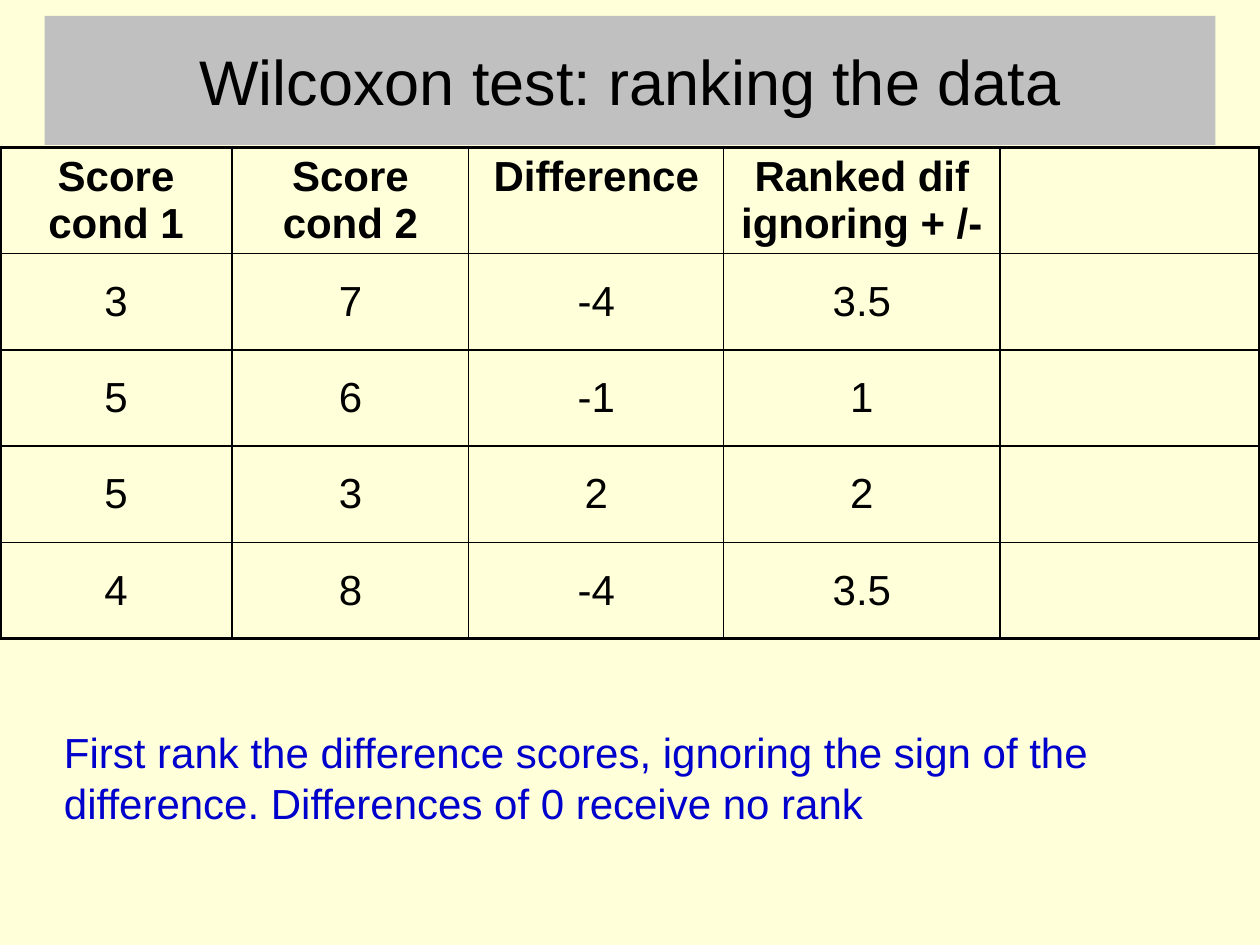
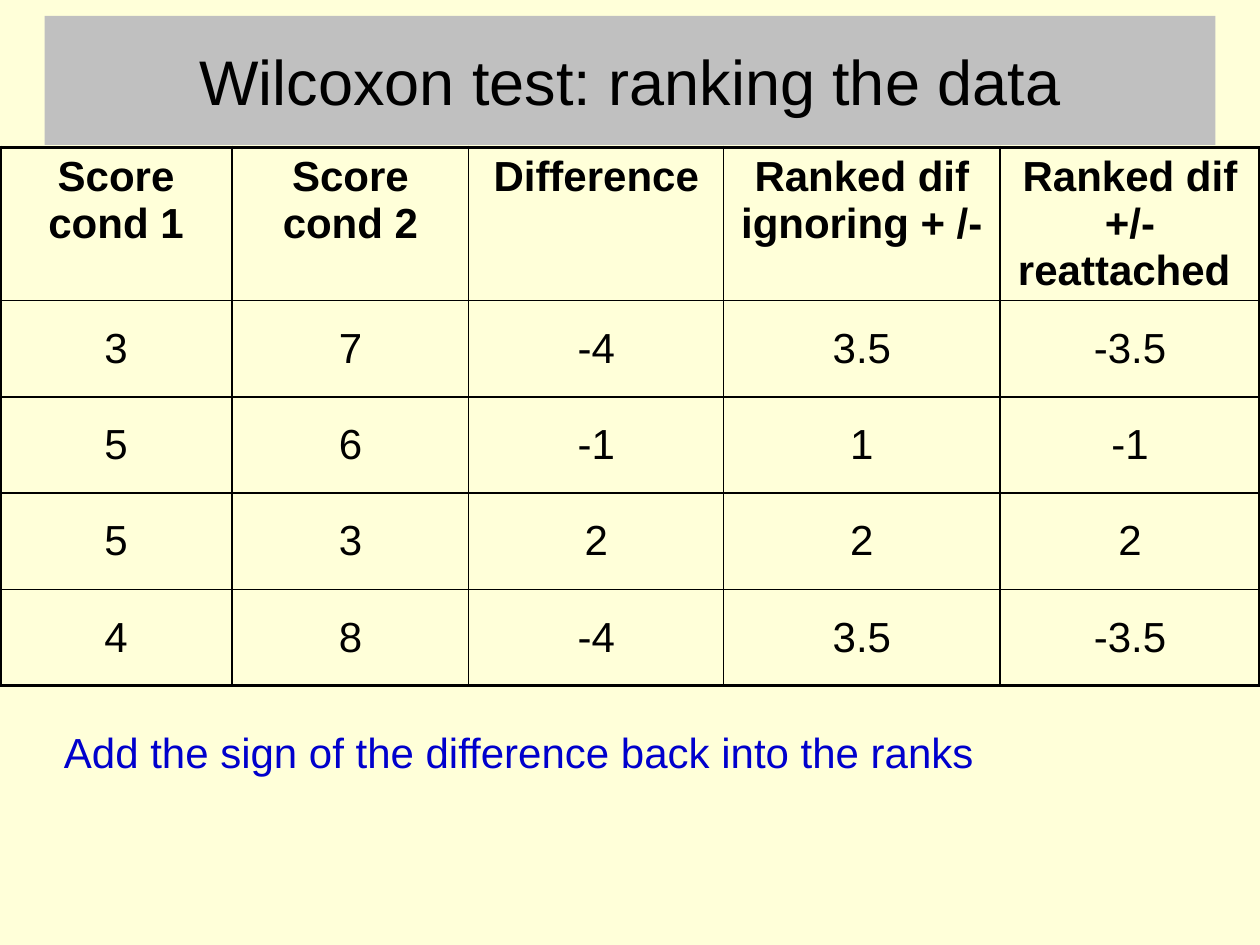
"""Build two slides that show how data are ranked for the Wilcoxon test."""
from dataclasses import dataclass

from lxml import etree
from pptx import Presentation
from pptx.dml.color import RGBColor
from pptx.enum.text import MSO_ANCHOR, MSO_AUTO_SIZE, PP_ALIGN
from pptx.oxml.ns import qn
from pptx.util import Cm, Length, Pt

CREAM = RGBColor(0xFF, 0xFF, 0xD9)
SILVER = RGBColor(0xC0, 0xC0, 0xC0)
BLACK = RGBColor(0x00, 0x00, 0x00)
BLUE = RGBColor(0x00, 0x00, 0xCC)

CENTER, LEFT = PP_ALIGN.CENTER, PP_ALIGN.LEFT
TOP, MIDDLE = MSO_ANCHOR.TOP, MSO_ANCHOR.MIDDLE
FIT_SHAPE, NO_FIT = MSO_AUTO_SIZE.SHAPE_TO_FIT_TEXT, MSO_AUTO_SIZE.NONE

FONT = "Arial"
TITLE = "Wilcoxon test: ranking the data"
TITLE_ONLY_LAYOUT = 5
THIN, THICK = Pt(1), Pt(2.25)
COLUMN_WIDTHS = (Cm(4.68), Cm(4.77), Cm(5.14), Cm(5.57), Cm(5.24))
SCORE_ROW_HEIGHT = Cm(1.94)

HEADINGS = ("Score cond 1", "Score cond 2", "Difference", "Ranked dif ignoring + /-")
SCORES = (
    ("3", "7", "-4", "3.5"),
    ("5", "6", "-1", "1"),
    ("5", "3", "2", "2"),
    ("4", "8", "-4", "3.5"),
)


@dataclass(frozen=True)
class RankingStep:
    """One slide: its last table column, heading height and explanation."""

    last_column: tuple[str, ...]
    heading_height: Length
    explanation: str
    explanation_height: Length


STEPS = (
    RankingStep(
        ("",) * 5,
        Cm(2.14),
        "First rank the difference scores, ignoring the sign of the difference. "
        "Differences of 0 receive no rank",
        Cm(2.29),
    ),
    RankingStep(
        ("Ranked dif +/- reattached ", "-3.5", "-1", "2", "-3.5"),
        Cm(3.09),
        "Add the sign of the difference back into the ranks",
        Cm(1.27),
    ),
)


def write(frame, text: str, size: int, color: RGBColor, align=CENTER, bold: bool = False) -> None:
    """Put text in a frame and format its runs."""
    frame.text = text
    for para in frame.paragraphs:
        para.alignment = align
        for span in para.runs:
            span.font.name = FONT
            span.font.size = Pt(size)
            span.font.bold = bold
            span.font.color.rgb = color


def add_title(page) -> None:
    """Place the title on its silver band."""
    title = page.shapes.title
    title.left, title.top, title.width, title.height = Cm(0.9), Cm(0.32), Cm(23.6), Cm(2.6)
    title.fill.solid()
    title.fill.fore_color.rgb = SILVER
    write(title.text_frame, TITLE, 36, BLACK)
    title.text_frame.auto_size = NO_FIT
    title.text_frame.vertical_anchor = MIDDLE


def draw_border(cell, side: str, width: Length) -> None:
    """Draw one black edge of a table cell."""
    properties = cell._tc.get_or_add_tcPr()
    line = etree.SubElement(properties, qn(f"a:ln{side}"), w=str(width))
    fill = etree.SubElement(line, qn("a:solidFill"))
    etree.SubElement(fill, qn("a:srgbClr"), val=str(BLACK))


def add_score_table(page, step: RankingStep) -> None:
    """Add the table of scores with thick outer and thin inner lines."""
    rows = [row + (last,) for row, last in zip((HEADINGS,) + SCORES, step.last_column)]
    heights = [step.heading_height] + [SCORE_ROW_HEIGHT] * len(SCORES)
    bottom, right = len(rows) - 1, len(COLUMN_WIDTHS) - 1
    table = page.shapes.add_table(
        len(rows), len(COLUMN_WIDTHS), Cm(0), Cm(2.97), sum(COLUMN_WIDTHS), sum(heights)
    ).table
    table.first_row = table.horz_banding = False
    for column, width in zip(table.columns, COLUMN_WIDTHS):
        column.width = width
    for y, (row, height) in enumerate(zip(rows, heights)):
        table.rows[y].height = height
        for x, text in enumerate(row):
            cell = table.cell(y, x)
            outer_sides = {"L": x == 0, "R": x == right, "T": y == 0, "B": y == bottom}
            for side, is_outer in outer_sides.items():
                draw_border(cell, side, THICK if is_outer else THIN)
            cell.fill.background()
            cell.vertical_anchor = MIDDLE if y else TOP
            write(cell.text_frame, text, 24, BLACK, bold=y == 0)


def add_explanation(page, step: RankingStep) -> None:
    """Add the blue explanation under the table."""
    box = page.shapes.add_textbox(Cm(1.04), Cm(14.53), Cm(23.65), step.explanation_height)
    box.text_frame.word_wrap = True
    box.text_frame.auto_size = FIT_SHAPE
    write(box.text_frame, step.explanation, 24, BLUE, LEFT)


def main() -> None:
    """Build and save the deck."""
    deck = Presentation()
    deck.slide_width, deck.slide_height = Cm(25.4), Cm(19.05)
    background = deck.slide_master.background.fill
    background.solid()
    background.fore_color.rgb = CREAM
    for step in STEPS:
        page = deck.slides.add_slide(deck.slide_layouts[TITLE_ONLY_LAYOUT])
        add_title(page)
        add_score_table(page, step)
        add_explanation(page, step)
    deck.save("out.pptx")


if __name__ == "__main__":
    main()
